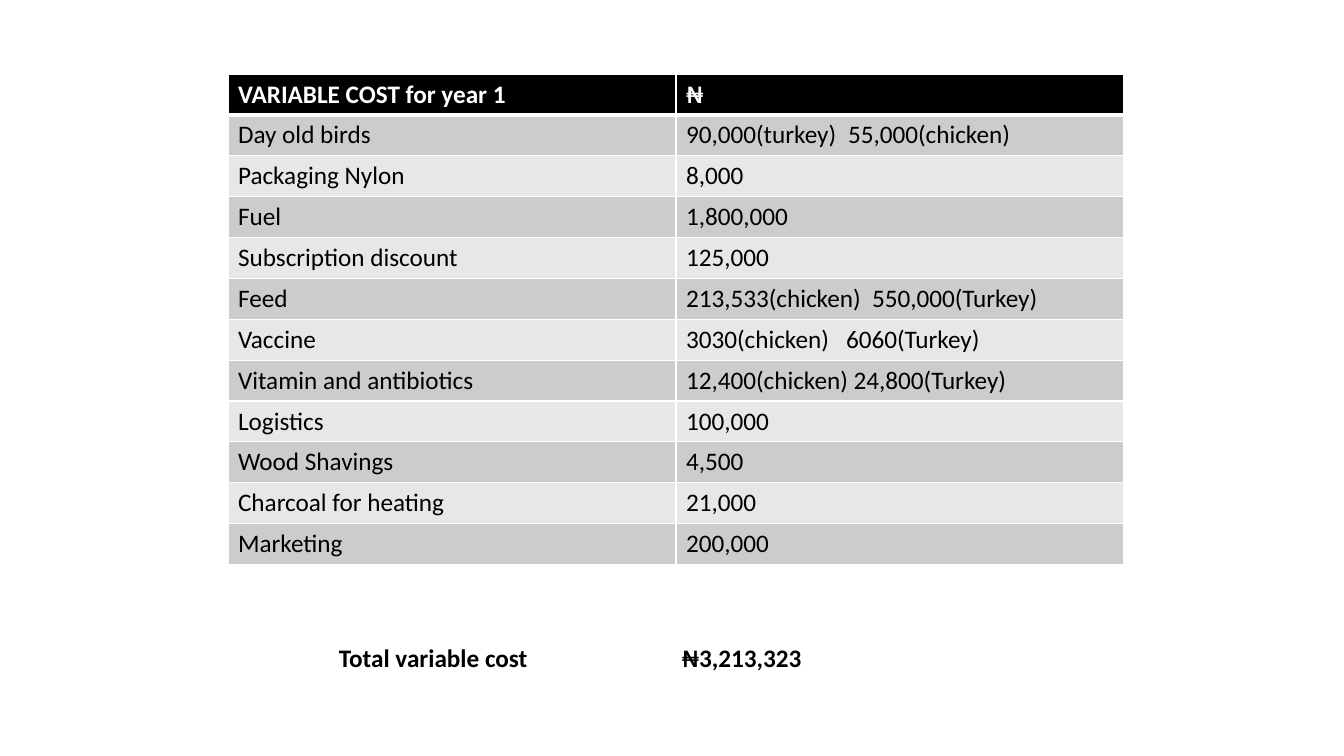
from pptx import Presentation
from pptx.dml.color import RGBColor
from pptx.enum.text import MSO_AUTO_SIZE
from pptx.oxml.ns import qn
from pptx.util import Emu, Pt
from lxml.etree import SubElement

PIXEL = 914400 / 100.8
COLORS = {"black": "000000", "white": "FFFFFF", "dark_band": "CCCCCC", "light_band": "E7E7E7"}
COSTS = [
    ("VARIABLE COST for year 1", "₦"),
    ("Day old birds", "90,000(turkey)\t55,000(chicken)", 162),
    ("Packaging Nylon", "8,000"),
    ("Fuel", "1,800,000"),
    ("Subscription discount", "125,000"),
    ("Feed", "213,533(chicken)\t550,000(Turkey)", 186),
    ("Vaccine", "3030(chicken)\t6060(Turkey)", 160),
    ("Vitamin and antibiotics", "12,400(chicken) 24,800(Turkey)"),
    ("Logistics", "100,000"),
    ("Wood Shavings", "4,500"),
    ("Charcoal for heating", "21,000"),
    ("Marketing", "200,000"),
]


def px(length):
    return Emu(round(length * PIXEL))


def color(name):
    return RGBColor.from_string(COLORS[name])


def write_text(frame, text, size=18, ink="black", bold=False, tab=None):
    paragraph = frame.paragraphs[0]
    run = paragraph.add_run()
    run.text = text
    run.font.name = "Calibri"
    run.font.size = Pt(size)
    run.font.bold = bold
    run.font.color.rgb = color(ink)
    if tab:
        properties = paragraph._p.get_or_add_pPr()
        stops = SubElement(properties, qn("a:tabLst"))
        SubElement(stops, qn("a:tab"), pos=str(px(tab)), algn="l")


def add_borders(cell, **widths):
    properties = cell._tc.get_or_add_tcPr()
    for side, width in widths.items():
        line = SubElement(properties, qn(f"a:ln{side}"), w=str(Pt(width)))
        fill = SubElement(line, qn("a:solidFill"))
        SubElement(fill, qn("a:srgbClr"), val=COLORS["white"])


def add_cost_table(slide, left, top, width, height):
    table = slide.shapes.add_table(len(COSTS), 2, px(left), px(top), px(width), px(height)).table
    for column in table.columns:
        column.width = px(width / 2)
    for index, (item, amount, *tab) in enumerate(COSTS):
        header = index == 0
        band = "black" if header else "dark_band" if index % 2 else "light_band"
        for column, text in enumerate((item, amount)):
            cell = table.cell(index, column)
            add_borders(cell, L=1, R=1, T=3 if index == 1 else 1, B=3 if header else 1)
            cell.fill.solid()
            cell.fill.fore_color.rgb = color(band)
            write_text(cell.text_frame, text, ink="white" if header else "black",
                       bold=header, tab=tab[0] if tab and column else None)


def add_total(slide, left, top, width, height):
    frame = slide.shapes.add_textbox(px(left), px(top), px(width), px(height)).text_frame
    frame.word_wrap = True
    frame.auto_size = MSO_AUTO_SIZE.SHAPE_TO_FIT_TEXT
    write_text(frame, "Total variable cost\t₦3,213,323", bold=True, tab=343)


presentation = Presentation()
presentation.slide_width = px(1344)
presentation.slide_height = px(756)
slide = presentation.slides.add_slide(presentation.slide_layouts[6])
add_cost_table(slide, 228, 74, 896, 484)
add_total(slide, 329, 637, 682, 40)
presentation.save("out.pptx")
